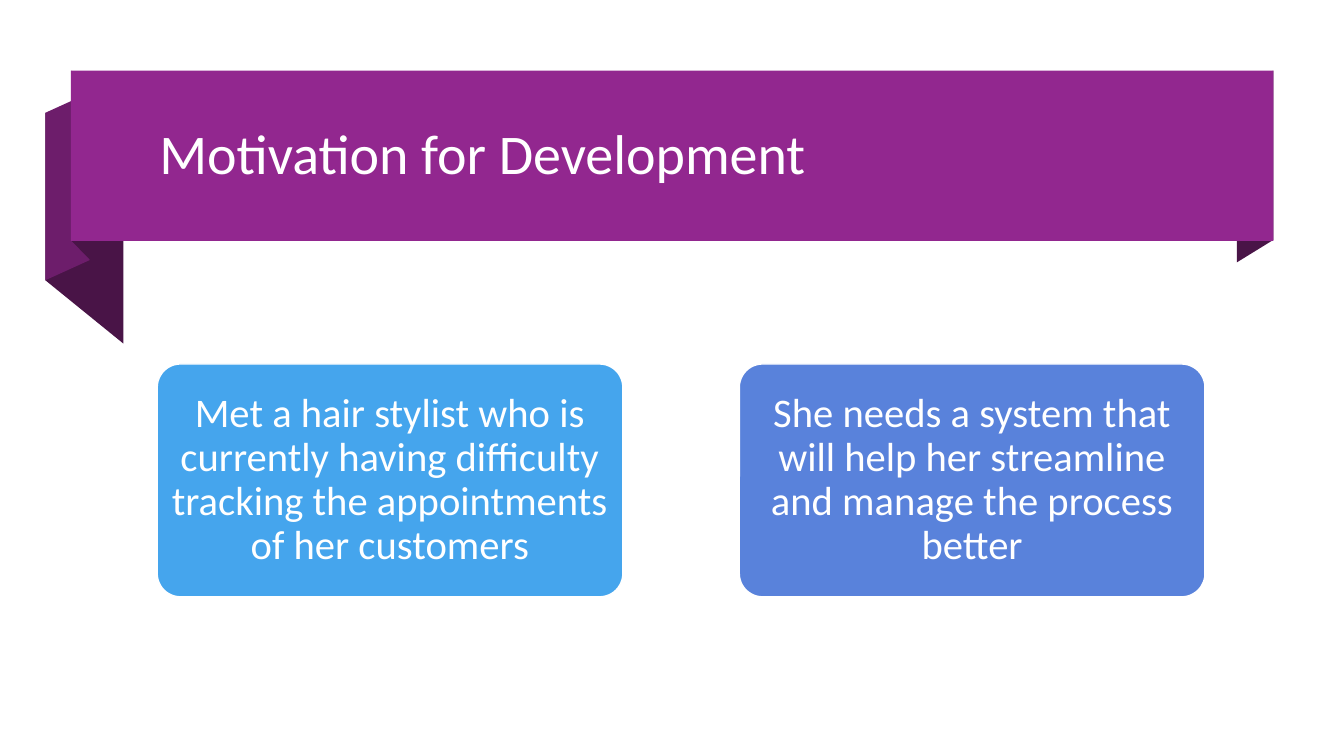
from dataclasses import dataclass

from pptx import Presentation
from pptx.dml.color import RGBColor as RGB
from pptx.enum.shapes import MSO_SHAPE as Shape
from pptx.enum.text import MSO_ANCHOR as Anchor, MSO_AUTO_SIZE as Auto, PP_ALIGN as Align
from pptx.util import Pt


@dataclass(frozen=True)
class Theme:
    font: str = "Calibri"
    white: str = "FFFFFF"
    purple: str = "92278F"
    plum: str = "6D1D6B"
    dark: str = "491447"
    sky: str = "45A5ED"
    blue: str = "5982DB"
    head: int = 40
    body: int = 29


class Board:
    def __init__(self, slide, theme):
        self.slide = slide
        self.theme = theme

    def paint(self, shape, color, edge=None):
        shape.shadow.inherit = False
        shape.fill.solid()
        shape.fill.fore_color.rgb = RGB.from_string(color)
        if edge:
            shape.line.color.rgb = RGB.from_string(edge)
            shape.line.width = Pt(1)
        else:
            shape.line.fill.background()

    def label(self, shape, text, size, align):
        frame = shape.text_frame
        frame.text = text
        frame.word_wrap = True
        frame.auto_size = Auto.NONE
        frame.vertical_anchor = Anchor.MIDDLE
        para = frame.paragraphs[0]
        para.alignment = align
        para.line_spacing = 0.9
        font = para.runs[0].font
        font.name = self.theme.font
        font.size = Pt(size)
        font.color.rgb = RGB.from_string(self.theme.white)

    def fold(self, points, color):
        start, *rest = [(Pt(x), Pt(y)) for x, y in points]
        pen = self.slide.shapes.build_freeform(*start)
        pen.add_line_segments(rest, close=True)
        self.paint(pen.convert_to_shape(), color)

    def band(self, left, top, width, height):
        box = self.slide.shapes.add_shape(
            Shape.RECTANGLE, Pt(left), Pt(top), Pt(width), Pt(height))
        self.paint(box, self.theme.purple)

    def title(self, text, left, top, width, height):
        shape = self.slide.shapes.title
        self.slide.shapes._spTree.append(shape._element)
        shape.left, shape.top = Pt(left), Pt(top)
        shape.width, shape.height = Pt(width), Pt(height)
        self.label(shape, text, self.theme.head, Align.LEFT)

    def card(self, text, color, left, top, width, height):
        box = self.slide.shapes.add_shape(
            Shape.ROUNDED_RECTANGLE, Pt(left), Pt(top), Pt(width), Pt(height))
        box.adjustments[0] = 0.1
        self.paint(box, color, self.theme.white)
        self.label(box, text, self.theme.body, Align.CENTER)
        frame = box.text_frame
        frame.margin_left = frame.margin_right = Pt(4)
        frame.margin_top = frame.margin_bottom = Pt(3)
        frame.paragraphs[0].space_after = Pt(10)


def main():
    deck = Presentation()
    deck.slide_width, deck.slide_height = Pt(960), Pt(540)
    theme = Theme()
    board = Board(deck.slides.add_slide(deck.slide_layouts[5]), theme)

    folds = [
        ([(909.5, 171.4), (883.5, 187.4), (883.5, 65.5), (909.5, 50.4)], theme.dark),
        ([(88.2, 245.5), (32.4, 200.2), (32.4, 80.6), (88.2, 126)], theme.dark),
        ([(64.1, 185.8), (32.4, 200.2), (32.4, 80.6), (64.1, 66.2)], theme.plum),
        ([(64.1, 185.3), (51.1, 172.1), (51.1, 50.4), (64.1, 64.1)], theme.dark),
    ]
    for points, color in folds:
        board.fold(points, color)
    board.band(50.7, 50.4, 858.8, 121.7)
    board.title("Motivation for Development", 106.6, 59.8, 787.7, 104.4)

    cards = [
        ("Met a hair stylist who is currently having difficulty tracking "
         "the appointments of her customers", theme.sky),
        ("She needs a system that will help her streamline and manage "
         "the process better", theme.blue),
    ]
    left, width, gap = 112.3, 332.6, 83.2
    for i, (text, color) in enumerate(cards):
        board.card(text, color, left + i * (width + gap), 260, width, width / 2)

    deck.save("out.pptx")


if __name__ == "__main__":
    main()
